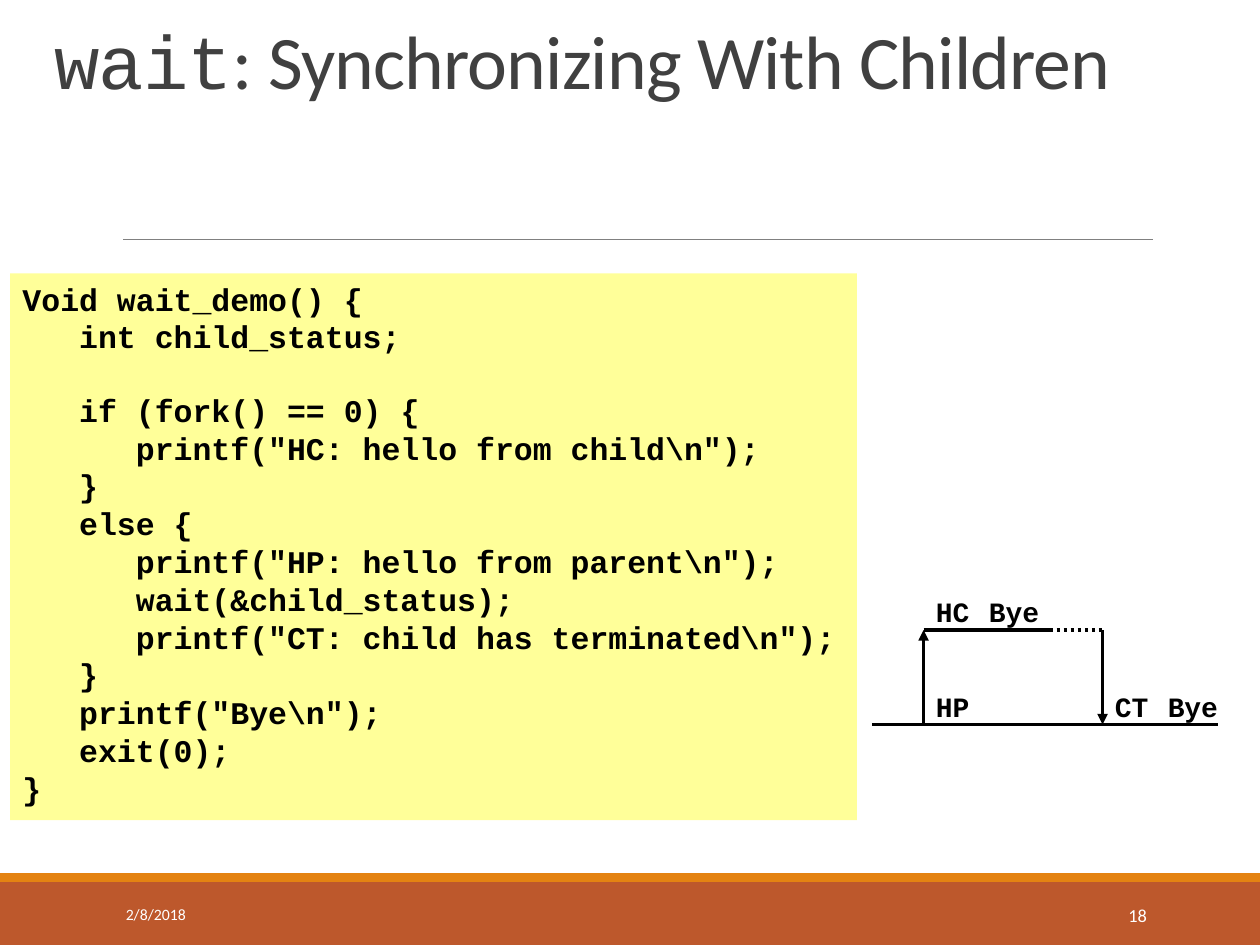
from pptx import Presentation
from pptx import util as u
from pptx.dml.color import RGBColor
from pptx.enum import dml, shapes, text
from pptx.oxml.ns import qn
from lxml import etree

BLACK = RGBColor(0x00, 0x00, 0x00)
WHITE = RGBColor(0xFF, 0xFF, 0xFF)
DARK = RGBColor(0x40, 0x40, 0x40)
GRAY = RGBColor(0x80, 0x80, 0x80)
RUST = RGBColor(0xBD, 0x58, 0x2C)
ORANGE = RGBColor(0xE4, 0x83, 0x12)
YELLOW = RGBColor(0xFF, 0xFF, 0x99)

deck = Presentation()
deck.slide_width = u.Inches(10)
deck.slide_height = u.Inches(7.5)
page = deck.slides.add_slide(deck.slide_layouts[5])


def add_span(para, words, font, size, color, bold=False):
    span = para.add_run()
    span.text = words
    span.font.name = font
    span.font.size = u.Pt(size)
    span.font.color.rgb = color
    span.font.bold = bold
    return span


def add_line(x1, y1, x2, y2, color=BLACK, width=2, arrow=False):
    line = page.shapes.add_connector(
        shapes.MSO_CONNECTOR.STRAIGHT,
        u.Inches(x1), u.Inches(y1), u.Inches(x2), u.Inches(y2))
    line.line.color.rgb = color
    line.line.width = u.Pt(width)
    if arrow:
        etree.SubElement(line.line._get_or_add_ln(), qn("a:tailEnd"), type="triangle")
    etree.SubElement(line._element.spPr, qn("a:effectLst"))
    return line


for top, height, color in [(7, 0.5, RUST), (6.93, 0.07, ORANGE)]:
    band = page.shapes.add_shape(
        shapes.MSO_SHAPE.RECTANGLE, 0, u.Inches(top), deck.slide_width, u.Inches(height))
    band.shadow.inherit = False
    band.fill.solid()
    band.fill.fore_color.rgb = color
    band.line.fill.background()
add_line(0.98, 1.9, 9.15, 1.9, GRAY, 0.5)

title = page.shapes.title
title.left, title.top = u.Inches(0.33), u.Inches(0.25)
title.width, title.height = u.Inches(9.08), u.Inches(0.63)
frame = title.text_frame
frame.auto_size = text.MSO_AUTO_SIZE.NONE
frame.vertical_anchor = text.MSO_ANCHOR.BOTTOM
para = frame.paragraphs[0]
para.alignment = text.PP_ALIGN.LEFT
para.line_spacing = 0.85
for words, font in [("wait", "Courier New"), (": Synchronizing With Children", "Calibri")]:
    span = add_span(para, words, font, 43.2, DARK)
    span.font._element.set("spc", "-50")

for words, left, width, size, align in [
    ("2/8/2018", 0.9, 2.03, 9, text.PP_ALIGN.LEFT),
    ("18", 8.12, 1.08, 10.5, text.PP_ALIGN.RIGHT),
]:
    box = page.shapes.add_textbox(
        u.Inches(left), u.Inches(7.06), u.Inches(width), u.Inches(0.4))
    box.text_frame.word_wrap = True
    box.text_frame.vertical_anchor = text.MSO_ANCHOR.MIDDLE
    para = box.text_frame.paragraphs[0]
    para.alignment = align
    add_span(para, words, "Calibri", size, WHITE)

code_lines = [
    (0, "Void wait_demo() {"),
    (1, "int child_status;"),
    (1, "if (fork() == 0) {"),
    (2, 'printf("HC: hello from child\\n");'),
    (1, "}"),
    (1, "else {"),
    (2, 'printf("HP: hello from parent\\n");'),
    (2, "wait(&child_status);"),
    (2, 'printf("CT: child has terminated\\n");'),
    (1, "}"),
    (1, 'printf("Bye\\n");'),
    (1, "exit(0);"),
    (0, "}"),
]
code = page.shapes.add_textbox(
    u.Inches(0.08), u.Inches(2.17), u.Inches(6.72), u.Inches(4.34))
code.fill.solid()
code.fill.fore_color.rgb = YELLOW
code.text_frame.word_wrap = True
for index, (depth, words) in enumerate(code_lines):
    para = code.text_frame.paragraphs[0] if index == 0 else code.text_frame.add_paragraph()
    properties = para._p.get_or_add_pPr()
    properties.set("marL", str(depth * u.Inches(0.45)))
    properties.set("indent", "0")
    if words.startswith("if"):
        para.space_before = u.Pt(20.4)
    add_span(para, words, "Courier New", 18, BLACK, True)

child, parent = 5, 5.75
stops = [6.92, 7.33, 7.75, 8.33, 8.75, 9.17, 9.67]
start, fork, hello, bye, reap, last, end = stops
for left, right in zip(stops, stops[1:]):
    add_line(left, parent, right, parent)
add_line(fork, parent, fork, child, arrow=True)
add_line(fork, child, hello, child)
add_line(hello, child, bye, child)
waiting = add_line(bye, child, reap, child)
waiting.line.dash_style = dml.MSO_LINE.ROUND_DOT
add_line(reap, child, reap, parent, arrow=True)

for words, left, level in [
    ("HP", fork, parent), ("HC", fork, child), ("Bye", hello, child),
    ("CT", reap, parent), ("Bye", last, parent),
]:
    width = 0.47 if len(words) == 2 else 0.6
    label = page.shapes.add_textbox(
        u.Inches(left), u.Inches(level - 0.33), u.Inches(width), u.Inches(0.37))
    label.text_frame.word_wrap = False
    add_span(label.text_frame.paragraphs[0], words, "Courier New", 16, BLACK, True)

deck.save("out.pptx")
